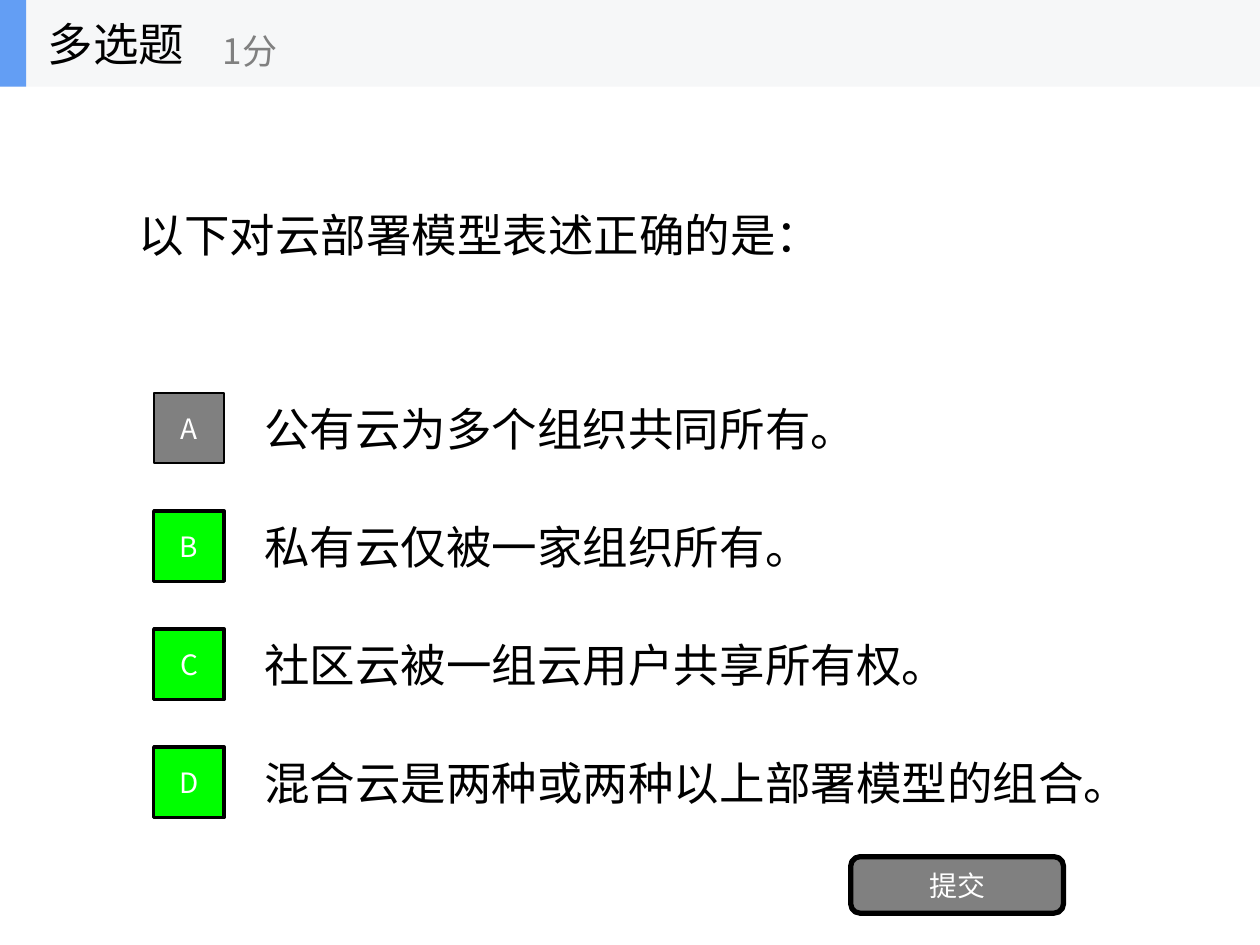
"""Build a multiple-choice question slide about cloud deployment models."""
from lxml.etree import SubElement
from pptx import Presentation
from pptx.dml.color import RGBColor
from pptx.enum.shapes import MSO_SHAPE as Preset
from pptx.enum.text import MSO_ANCHOR as Anchor, MSO_AUTO_SIZE as AutoSize, PP_ALIGN as Align
from pptx.oxml.ns import qn
from pptx.util import Cm, Pt

FONT = "Noto Sans CJK SC"
COLORS = {"black": "000000", "white": "FFFFFF", "gray": "808080",
          "right": "00FF00", "band": "F6F7F8", "accent": "639EF4"}


def write(shape, text, size, color, align=Align.LEFT):
    frame = shape.text_frame
    layout = {"word_wrap": True, "auto_size": AutoSize.NONE, "vertical_anchor": Anchor.MIDDLE}
    for name, value in layout.items():
        setattr(frame, name, value)
    paragraph = frame.paragraphs[0]
    paragraph.alignment = align
    run = paragraph.add_run()
    run.text = text
    for name, value in {"name": FONT, "size": Pt(size), "bold": False}.items():
        setattr(run.font, name, value)
    run.font.color.rgb = RGBColor.from_string(COLORS[color])
    SubElement(run.font._element, qn("a:ea"), typeface=FONT)


def block(shapes, preset, box, fill, line_width=0):
    shape = shapes.add_shape(preset, *map(Cm, box))
    shape.shadow.inherit = False
    shape.fill.solid()
    shape.fill.fore_color.rgb = RGBColor.from_string(COLORS[fill])
    if line_width:
        shape.line.color.rgb = RGBColor.from_string(COLORS["black"])
        shape.line.width = Pt(line_width)
    else:
        shape.line.fill.background()
    return shape


deck = Presentation()
deck.slide_width, deck.slide_height = Cm(25.4), Cm(19.05)
slide = deck.slides.add_slide(deck.slide_layouts[5])

question = slide.shapes.title
for name, value in {"left": 2.54, "top": 1.75, "width": 20.32, "height": 5.94}.items():
    setattr(question, name, Cm(value))
write(question, "以下对云部署模型表述正确的是：", 26, "black")

options = [("A", "公有云为多个组织共同所有。", False, 17.78),
           ("B", "私有云仅被一家组织所有。", True, 17.78),
           ("C", "社区云被一组云用户共享所有权。", True, 17.78),
           ("D", "混合云是两种或两种以上部署模型的组合。", True, 18.62)]
first_top, pitch = 7.74, 2.38

for row, (letter, statement, correct, width) in enumerate(options):
    top = first_top + row * pitch
    answer = slide.shapes.add_textbox(Cm(5.08), Cm(top), Cm(width), Cm(1.78))
    write(answer, statement, 26, "black")
    fill, line_width = ("right", 2) if correct else ("gray", 1)
    choice = block(slide.shapes, Preset.RECTANGLE, (3.1, top + 0.18, 1.42, 1.42), fill, line_width)
    write(choice, letter, 16, "white", Align.CENTER)

submit = block(slide.shapes, Preset.ROUNDED_RECTANGLE, (17.15, 17.27, 4.29, 1.14), "gray", 3)
write(submit, "提交", 16, "white", Align.CENTER)

header = slide.shapes.add_group_shape().shapes
for width, fill in [(25.4, "band"), (0.53, "accent")]:
    block(header, Preset.RECTANGLE, (0, 0, width, 1.75), fill)
for text, box, size, color in [("多选题", (0.71, 0, 5.28, 1.75), 26, "black"),
                               ("1分", (4.24, 0.3, 6.35, 1.42), 20, "gray")]:
    write(header.add_textbox(*map(Cm, box)), text, size, color)

deck.save("out.pptx")
